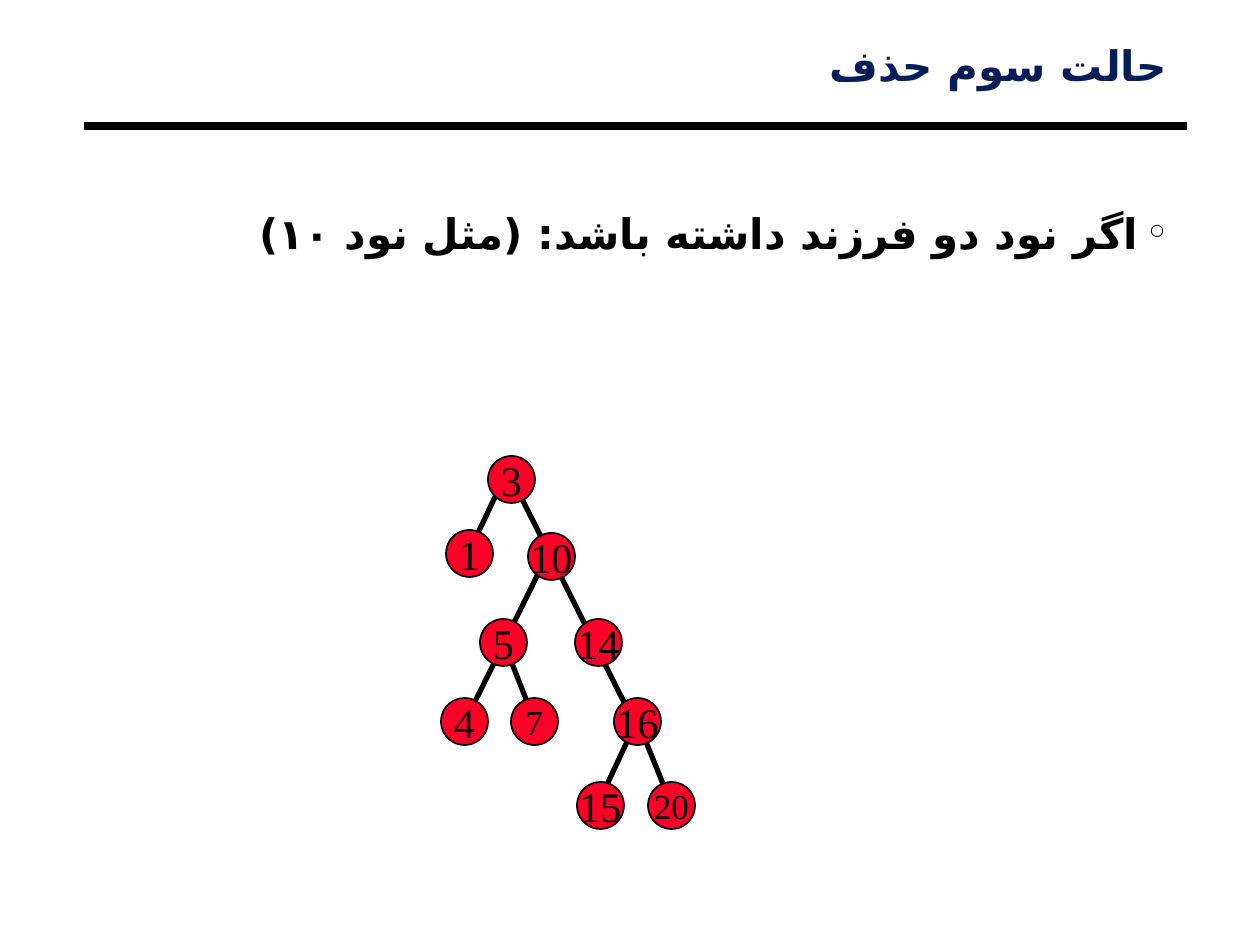
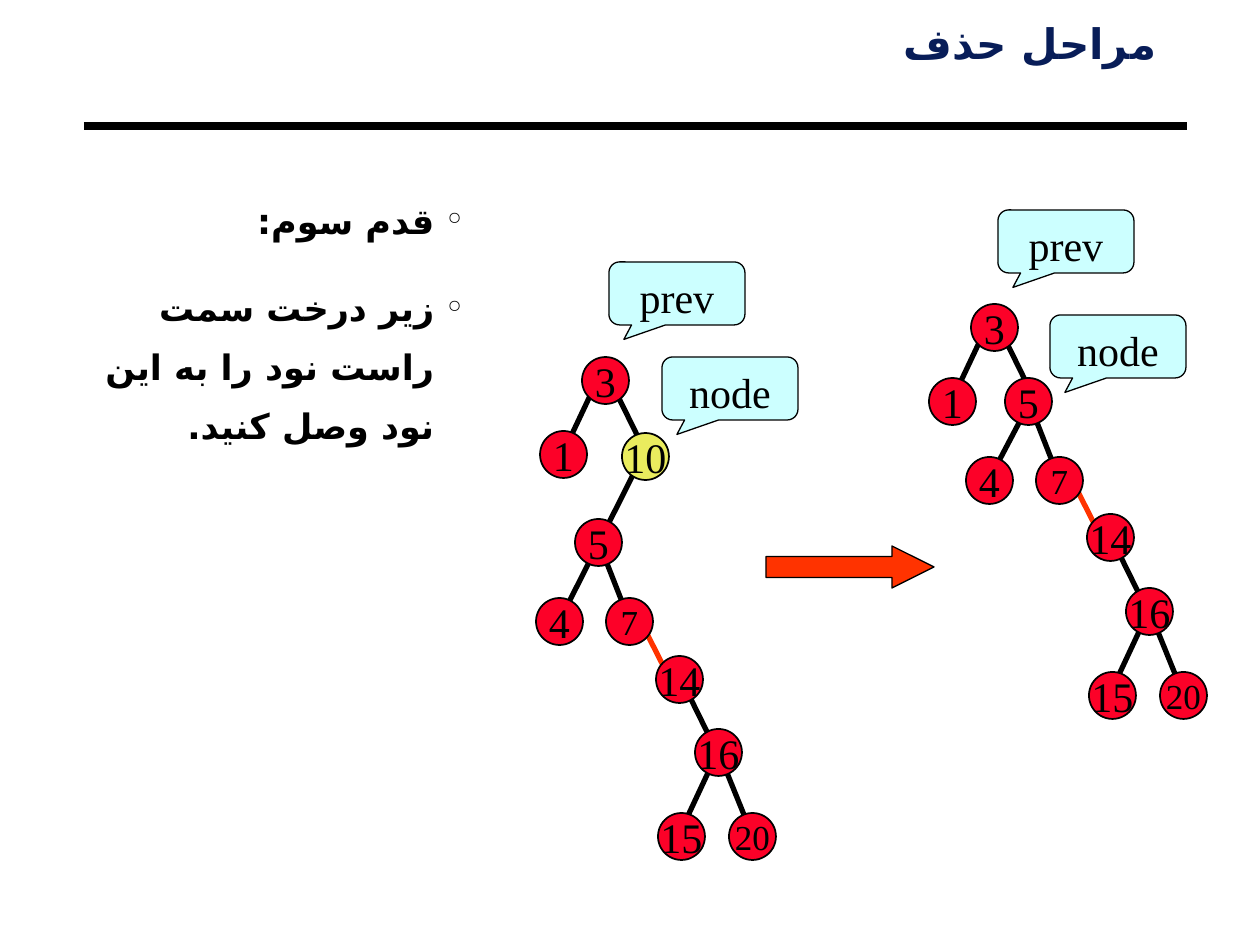
from lxml import etree
from pptx import Presentation
from pptx import util as u
from pptx.dml.color import RGBColor
from pptx.enum import shapes, text
from pptx.oxml.ns import qn

PX = 914400 // 126
COLORS = {
    "ink": "000000",
    "title": "081D58",
    "node": "FC0128",
    "deleted": "EAEC5E",
    "callout": "CCFFFF",
    "accent": "FF3300",
}
NODE_SIZE = 47
SMALL_LABELS = ("7", "20")
TITLE_FONT, BODY_FONT, LABEL_FONT = "Lato", "Roboto", "Times New Roman"
PERSIAN_FONT = "DejaVu Sans"

# Subtrees: nodes and edges are relative to the centre of the subtree's root.
SUBTREE_3 = {
    "nodes": {"1": (-42, 74), "3": (0, 0)},
    "edges": [(-8, -2, -50, 87)],
}
SUBTREE_5 = {
    "nodes": {"5": (0, 0), "4": (-39, 79), "7": (31, 79)},
    "edges": [(0, 0, 31, 79)],
}
SUBTREE_16 = {
    "nodes": {"16": (0, 0), "15": (-37, 84), "20": (34, 84)},
    "edges": [(2, -8, -40, 82), (2, 5, 34, 84)],
}


def px(*lengths):
    return [u.Emu(length * PX) for length in lengths]


def rgb(name):
    return RGBColor.from_string(COLORS[name])


def format_runs(paragraph, font, size, color="ink", bold=False):
    for run in paragraph.runs:
        run.font.name = font
        run.font.size = u.Pt(size)
        run.font.bold = bold
        run.font.color.rgb = rgb(color)


def format_persian(paragraph, font, size, color="ink"):
    """Set bold right-to-left text, with a font for its Persian letters."""
    paragraph.alignment = text.PP_ALIGN.RIGHT
    paragraph._p.get_or_add_pPr().set("rtl", "1")
    format_runs(paragraph, font, size, color, bold=True)
    for run in paragraph.runs:
        complex_font = etree.SubElement(run.font._element, qn("a:cs"))
        complex_font.set("typeface", PERSIAN_FONT)


def set_frame(frame):
    frame.word_wrap = True
    frame.auto_size = text.MSO_AUTO_SIZE.NONE
    frame.vertical_anchor = text.MSO_ANCHOR.TOP
    frame.margin_left = frame.margin_right = u.Inches(0.07)
    frame.margin_top = frame.margin_bottom = u.Inches(0.03)


def add_line(slide, x1, y1, x2, y2, color="ink", width=3):
    line = slide.shapes.add_connector(
        shapes.MSO_CONNECTOR.STRAIGHT, *px(x1, y1, x2, y2))
    line.line.color.rgb = rgb(color)
    line.line.width = u.Pt(width)
    etree.SubElement(line._element.spPr, qn("a:effectLst"))


def add_titled_slide(presentation, title, left, top, width):
    """Add a slide with its title and the heavy rule below it."""
    slide = presentation.slides.add_slide(presentation.slide_layouts[5])
    add_line(slide, 84, 126, 1187, 126, width=4.5)
    shape = slide.shapes.title
    shape.left, shape.top, shape.width, shape.height = px(left, top, width, 53)
    set_frame(shape.text_frame)
    shape.text_frame.text = title
    paragraph = shape.text_frame.paragraphs[0]
    paragraph.line_spacing = 0.87
    format_persian(paragraph, TITLE_FONT, 24, "title")
    return slide


def add_bullets(slide, box, items, size, line_spacing, space_before=0):
    frame = slide.shapes.add_textbox(*px(*box)).text_frame
    set_frame(frame)
    frame.text = "\n".join(items)
    for index, paragraph in enumerate(frame.paragraphs):
        properties = paragraph._p.get_or_add_pPr()
        properties.set("marL", str(u.Inches(0.22)))
        properties.set("indent", str(-u.Inches(0.22)))
        bullet_color = etree.SubElement(properties, qn("a:buClr"))
        etree.SubElement(bullet_color, qn("a:srgbClr")).set("val", COLORS["ink"])
        etree.SubElement(properties, qn("a:buChar")).set("char", "°")
        paragraph.line_spacing = line_spacing
        if index:
            paragraph.space_before = u.Pt(space_before)
        format_persian(paragraph, BODY_FONT, size)


def add_outlined_shape(slide, kind, box, fill, line_width=0.75):
    shape = slide.shapes.add_shape(kind, *px(*box))
    shape.shadow.inherit = False
    shape.fill.solid()
    shape.fill.fore_color.rgb = rgb(fill)
    shape.line.color.rgb = rgb("ink")
    shape.line.width = u.Pt(line_width)
    return shape


def set_label(shape, label, size=24):
    shape.text_frame.text = label
    paragraph = shape.text_frame.paragraphs[0]
    paragraph.alignment = text.PP_ALIGN.CENTER
    format_runs(paragraph, LABEL_FONT, size)


def add_node(slide, label, x, y, fill="node"):
    """Add a tree node centred on x, y."""
    corner = NODE_SIZE // 2 + 1
    box = (x - corner, y - corner, NODE_SIZE, NODE_SIZE)
    node = add_outlined_shape(slide, shapes.MSO_SHAPE.OVAL, box, fill, 1)
    node.text_frame.word_wrap = False
    node.text_frame.vertical_anchor = text.MSO_ANCHOR.MIDDLE
    set_label(node, label, 20 if label in SMALL_LABELS else 24)


def add_subtree(slide, subtree, x, y):
    for x1, y1, x2, y2 in subtree["edges"]:
        add_line(slide, x + x1, y + y1, x + x2, y + y2)
    for label, (dx, dy) in subtree["nodes"].items():
        add_node(slide, label, x + dx, y + dy)


def add_tree(slide, links, root_3, root_5, root_16, node_14):
    """Add the links between subtrees, then the subtrees over them."""
    for link in links:
        add_line(slide, *link)
    add_subtree(slide, SUBTREE_3, *root_3)
    add_subtree(slide, SUBTREE_5, *root_5)
    add_subtree(slide, SUBTREE_16, *root_16)
    add_node(slide, "14", *node_14)


def add_callout(slide, label, left, top):
    callout = add_outlined_shape(
        slide, shapes.MSO_SHAPE.ROUNDED_RECTANGULAR_CALLOUT,
        (left, top, 136, 63), "callout")
    for index, value in enumerate((-0.39, 0.73, 0.17)):
        callout.adjustments[index] = value
    callout.text_frame.vertical_anchor = text.MSO_ANCHOR.TOP
    set_label(callout, label)


def build_third_case(presentation):
    slide = add_titled_slide(presentation, "حالت سوم حذف", 84, 43, 1092)
    add_bullets(slide, (94, 179, 1081, 83),
                ["اگر نود دو فرزند داشته باشد: (مثل نود ۱۰)"], 24, 1.5)
    links = [(514, 483, 638, 730), (543, 564, 465, 722)]
    add_tree(slide, links, (512, 480), (504, 643), (638, 722), (599, 643))
    add_node(slide, "10", 552, 557)


def build_delete_steps(presentation):
    slide = add_titled_slide(presentation, "مراحل حذف", 94, 21, 1071)
    add_bullets(slide, (73, 179, 398, 287),
                ["قدم سوم:", "زیر درخت سمت راست نود را به این نود وصل کنید."],
                20, 1.4, 16.2)

    links_before = [(640, 620, 672, 683, "accent"), (609, 378, 640, 441),
                    (638, 465, 559, 622), (683, 683, 714, 746)]
    add_tree(slide, links_before, (606, 381), (599, 543), (719, 753), (680, 680))
    add_node(slide, "10", 646, 457, "deleted")
    add_callout(slide, "node", 662, 357)
    add_callout(slide, "prev", 609, 262)

    links_after = [(1071, 478, 1103, 541, "accent"), (998, 325, 1029, 388),
                   (1029, 404, 989, 480), (1113, 541, 1144, 604)]
    add_tree(slide, links_after, (995, 328), (1029, 402), (1150, 612), (1111, 538))
    add_callout(slide, "prev", 998, 210)
    add_callout(slide, "node", 1050, 315)

    arrow = add_outlined_shape(
        slide, shapes.MSO_SHAPE.RIGHT_ARROW, (766, 546, 168, 42), "accent")
    arrow.adjustments[0], arrow.adjustments[1] = 0.5, 1


def main():
    presentation = Presentation()
    presentation.slide_width = u.Inches(10)
    presentation.slide_height = u.Inches(7.5)
    build_third_case(presentation)
    build_delete_steps(presentation)
    presentation.save("out.pptx")


if __name__ == "__main__":
    main()
